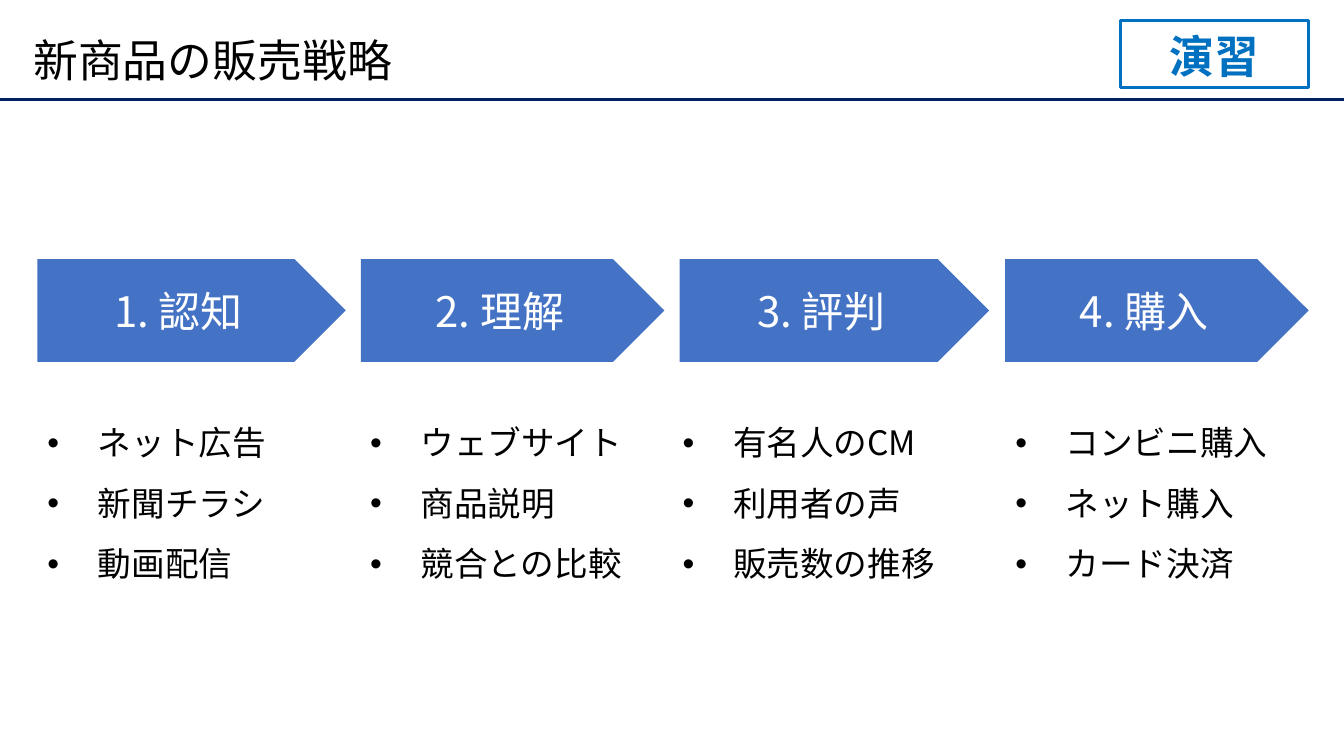
from dataclasses import dataclass

from lxml import etree
from pptx import Presentation
from pptx import util as u
from pptx.dml.color import RGBColor
from pptx.enum import shapes, text
from pptx.oxml.ns import qn

# Content
TITLE = "新商品の販売戦略"
TAG = "演習"
# name, arrow left, arrow width, list left, list items
STEPS = [
    ("認知", 0.37, 3.06, 0.37, ["ネット広告", "新聞チラシ", "動画配信"]),
    ("理解", 3.58, 3.01, 3.57, ["ウェブサイト", "商品説明", "競合との比較"]),
    ("評判", 6.74, 3.07, 6.67, ["有名人のCM", "利用者の声", "販売数の推移"]),
    ("購入", 9.97, 3.01, 9.97, ["コンビニ購入", "ネット購入", "カード決済"]),
]


@dataclass(frozen=True)
class Theme:
    font: str = "Noto Sans CJK JP"
    ink: str = "000000"
    rule: str = "002060"
    tag: str = "0070C0"
    arrow: str = "4472C4"
    arrow_text: str = "FFFFFF"
    title_size: int = 32
    step_size: int = 30
    item_size: int = 24
    line_width: float = 2.25


THEME = Theme()
COMPARISON_LAYOUT = 4  # a title and four body placeholders


def place(shape, left, top, width, height):
    shape.left, shape.top = u.Inches(left), u.Inches(top)
    shape.width, shape.height = u.Inches(width), u.Inches(height)


def add_run(para, words, size, color, bold=False):
    span = para.add_run()
    span.text = words
    span.font.name = THEME.font
    span.font.size = u.Pt(size)
    span.font.bold = bold
    span.font.color.rgb = RGBColor.from_string(color)
    latin = span.font._element.find(qn("a:latin"))
    east_asian = etree.Element(qn("a:ea"), typeface=THEME.font)
    latin.addnext(east_asian)


def set_frame(shape, anchor):
    frame = shape.text_frame
    frame.word_wrap = True
    frame.auto_size = text.MSO_AUTO_SIZE.NONE
    frame.vertical_anchor = anchor
    return frame


def add_box(page, kind, at, anchor, words, size, color, bold=False):
    box = page.shapes.add_shape(kind, *(u.Inches(length) for length in at))
    box.shadow.inherit = False
    para = set_frame(box, anchor).paragraphs[0]
    para.alignment = text.PP_ALIGN.CENTER
    add_run(para, words, size, color, bold)
    return box


def add_bullet(para):
    props = para._p.get_or_add_pPr()
    props.set("marL", str(u.Inches(0.5)))
    props.set("indent", str(u.Inches(-0.5)))
    etree.SubElement(props, qn("a:buFont"), typeface="Arial")
    etree.SubElement(props, qn("a:buChar"), char="•")


def fill_list(body, items):
    frame = set_frame(body, text.MSO_ANCHOR.TOP)
    for index, item in enumerate(items):
        para = frame.add_paragraph() if index else frame.paragraphs[0]
        para.line_spacing = 1.5
        para.space_before = u.Pt(0)
        add_bullet(para)
        add_run(para, item, THEME.item_size, THEME.ink)


def add_header(page):
    # Rule under the title
    rule = page.shapes.add_connector(
        shapes.MSO_CONNECTOR.STRAIGHT,
        u.Inches(0), u.Inches(0.99), u.Inches(13.33), u.Inches(0.99))
    rule.line.color.rgb = RGBColor.from_string(THEME.rule)
    rule.line.width = u.Pt(THEME.line_width)
    etree.SubElement(rule._element.spPr, qn("a:effectLst"))

    # Title
    title = page.shapes.title
    place(title, 0.23, 0.2, 12.6, 0.84)
    para = set_frame(title, text.MSO_ANCHOR.MIDDLE).paragraphs[0]
    para.alignment = text.PP_ALIGN.LEFT
    para.line_spacing = 0.9
    add_run(para, TITLE, THEME.title_size, THEME.ink)

    # Exercise tag
    tag = add_box(page, shapes.MSO_SHAPE.RECTANGLE, (11.11, 0.2, 1.87, 0.67),
                  text.MSO_ANCHOR.BOTTOM, TAG, THEME.title_size, THEME.tag, True)
    tag.fill.background()
    tag.line.color.rgb = RGBColor.from_string(THEME.tag)
    tag.line.width = u.Pt(THEME.line_width)


def add_steps(page):
    bodies = [holder for holder in page.placeholders
              if holder.placeholder_format.idx > 0]
    for number, (step, body) in enumerate(zip(STEPS, bodies), start=1):
        name, arrow_left, arrow_width, list_left, items = step
        # Step arrow
        arrow = add_box(page, shapes.MSO_SHAPE.PENTAGON,
                        (arrow_left, 2.57, arrow_width, 1.02),
                        text.MSO_ANCHOR.MIDDLE, f"{number}. {name}",
                        THEME.step_size, THEME.arrow_text)
        arrow.fill.solid()
        arrow.fill.fore_color.rgb = RGBColor.from_string(THEME.arrow)
        arrow.line.fill.background()
        # Measures for the step
        place(body, list_left, 3.94, 2.81, 1.86)
        fill_list(body, items)


def main():
    deck = Presentation()
    deck.slide_width, deck.slide_height = u.Inches(13.33), u.Inches(7.5)
    page = deck.slides.add_slide(deck.slide_layouts[COMPARISON_LAYOUT])
    add_header(page)
    add_steps(page)
    deck.save("out.pptx")


if __name__ == "__main__":
    main()
